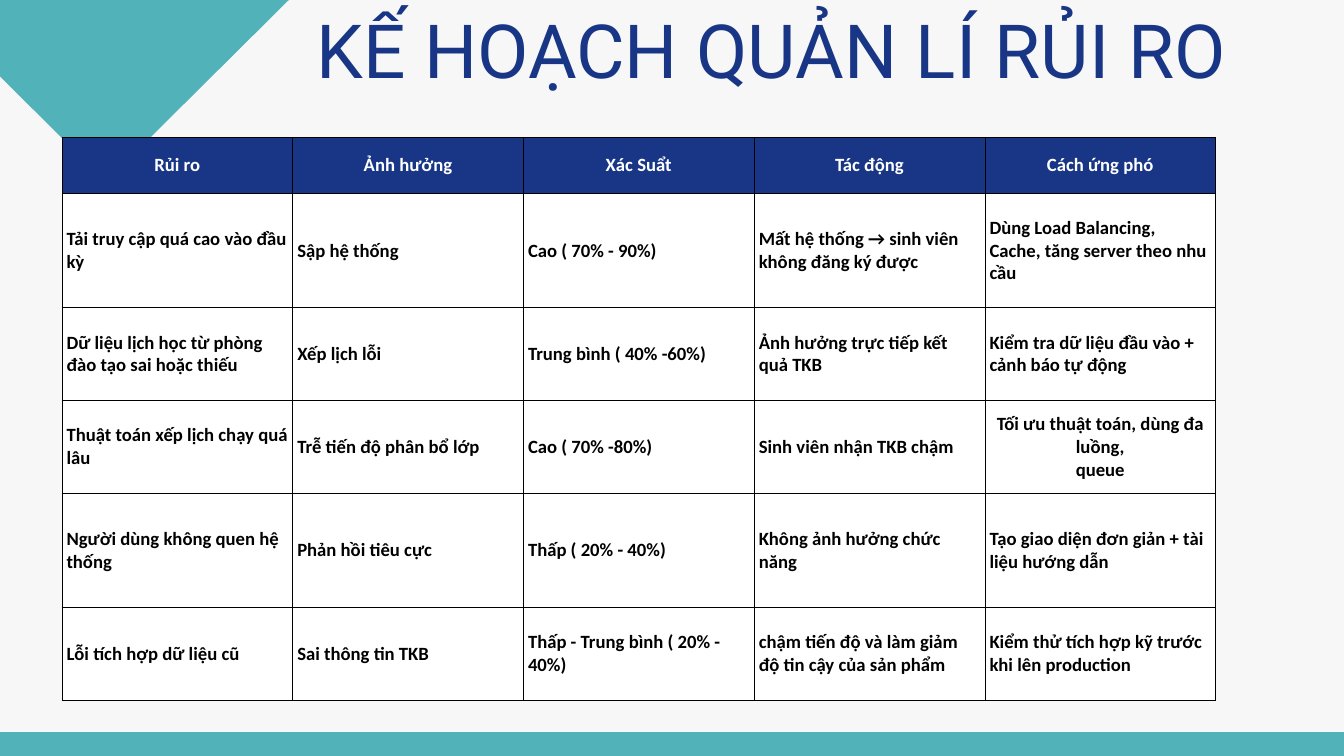
from dataclasses import astuple, dataclass

from lxml.etree import SubElement
from pptx import Presentation
from pptx.dml.color import RGBColor as Rgb
from pptx.enum.text import MSO_ANCHOR as Anchor
from pptx.enum.text import MSO_AUTO_SIZE as Fit
from pptx.enum.text import PP_ALIGN as Align
from pptx.oxml.ns import qn
from pptx.util import Inches, Pt

HUES = {
    "back": "F7F7F7",
    "teal": "51B2BA",
    "navy": "183685",
    "white": "FFFFFF",
    "black": "000000",
}


@dataclass
class Risk:
    name: str
    effect: str
    odds: str
    impact: str
    reply: str


@dataclass
class Form:
    points: list[tuple[float, float]]
    hue: str


WEDGE = Form(
    [(1.26, 2.39), (1.4, 2.49), (1.58, 2.52), (1.75, 2.49), (1.89, 2.39),
     (11.54, -7.19), (11.59, -7.3), (11.58, -7.39), (11.52, -7.47), (11.41, -7.5),
     (-8.25, -7.5), (-8.36, -7.47), (-8.42, -7.39), (-8.43, -7.3), (-8.38, -7.19)],
    "teal",
)
BAR = Form([(-1.13, 10.9), (22.4, 10.9), (22.4, 12.39), (-1.13, 12.39)], "teal")

HEAD = Risk("Rủi ro", "Ảnh hưởng", "Xác Suẩt", "Tác động", "Cách ứng phó")
RISKS = [
    Risk("Tải truy cập quá cao vào đầu kỳ", "Sập hệ thống", "Cao ( 70% - 90%)",
         "Mất hệ thống → sinh viên không đăng ký được",
         "Dùng Load Balancing, Cache, tăng server theo nhu cầu"),
    Risk("Dữ liệu lịch học từ phòng đào tạo sai hoặc thiếu", "Xếp lịch lỗi",
         "Trung bình ( 40% -60%)", "Ảnh hưởng trực tiếp kết quả TKB",
         "Kiểm tra dữ liệu đầu vào + cảnh báo tự động"),
    Risk("Thuật toán xếp lịch chạy quá lâu", "Trễ tiến độ phân bổ lớp",
         "Cao ( 70% -80%)", "Sinh viên nhận TKB chậm",
         "Tối ưu thuật toán, dùng đa luồng,\nqueue"),
    Risk("Người dùng không quen hệ thống", "Phản hồi tiêu cực", "Thấp ( 20% - 40%)",
         "Không ảnh hưởng chức năng", "Tạo giao diện đơn giản + tài liệu hướng dẫn"),
    Risk("Lỗi tích hợp dữ liệu cũ", "Sai thông tin TKB", "Thấp - Trung bình ( 20% - 40%)",
         "chậm tiến độ và làm giảm độ tin cậy của sản phẩm",
         "Kiểm thử tích hợp kỹ trước khi lên production"),
]
ROWS = [0.84, 1.7, 1.38, 1.38, 1.7, 1.38]
WIDE = 17.17


def tint(name: str) -> Rgb:
    return Rgb.from_string(HUES[name])


def draw_form(slide, form: Form) -> None:
    spots = [(Inches(x), Inches(y)) for x, y in form.points]
    pen = slide.shapes.build_freeform(*spots[0])
    pen.add_line_segments(spots[1:], close=True)
    shape = pen.convert_to_shape()
    shape.shadow.inherit = False
    shape.fill.solid()
    shape.fill.fore_color.rgb = tint(form.hue)
    shape.line.fill.background()


def set_title(slide, text: str) -> None:
    title = slide.shapes.title
    title.left, title.top = Inches(4.08), Inches(0.39)
    title.width, title.height = Inches(14.8), Inches(1.09)
    frame = title.text_frame
    frame.text = text
    frame.word_wrap = True
    frame.auto_size = Fit.SHAPE_TO_FIT_TEXT
    frame.vertical_anchor = Anchor.TOP
    frame.margin_left = frame.margin_right = 0
    frame.margin_top = frame.margin_bottom = 0
    para = frame.paragraphs[0]
    para.alignment = Align.CENTER
    para.line_spacing = Pt(72)
    font = para.runs[0].font
    font.name, font.size = "Roboto", Pt(80)
    font.color.rgb = tint("navy")


def set_edges(cell) -> None:
    props = cell._tc.get_or_add_tcPr()
    for side in ("a:lnL", "a:lnR", "a:lnT", "a:lnB"):
        line = SubElement(props, qn(side), w=str(Pt(0.8)))
        fill = SubElement(line, qn("a:solidFill"))
        SubElement(fill, qn("a:srgbClr"), val=HUES["black"])


def fill_cell(cell, text: str, ink: str, back: str, mid: bool) -> None:
    set_edges(cell)
    cell.fill.solid()
    cell.fill.fore_color.rgb = tint(back)
    cell.vertical_anchor = Anchor.MIDDLE
    cell.margin_left = cell.margin_right = Inches(0.07)
    cell.margin_top = cell.margin_bottom = Inches(0.03)
    cell.text_frame.text = text
    for para in cell.text_frame.paragraphs:
        para.alignment = Align.CENTER if mid else Align.LEFT
        for run in para.runs:
            font = run.font
            font.name, font.size, font.bold = "Calibri", Pt(20), True
            font.color.rgb = tint(ink)


def draw_table(slide, risks: list[Risk]) -> None:
    grid = [astuple(risk) for risk in risks]
    count = len(grid[0])
    table = slide.shapes.add_table(
        len(grid), count, Inches(0.92), Inches(2.04), Inches(WIDE), Inches(sum(ROWS))
    ).table
    table.horz_banding = False
    for col in table.columns:
        col.width = Inches(WIDE / count)
    for r, (tall, texts) in enumerate(zip(ROWS, grid)):
        table.rows[r].height = Inches(tall)
        ink, back = ("white", "navy") if r == 0 else ("black", "white")
        for c, text in enumerate(texts):
            fill_cell(table.cell(r, c), text, ink, back, r == 0 or "\n" in text)


def main() -> None:
    deck = Presentation()
    deck.slide_width, deck.slide_height = Inches(20), Inches(11.25)
    slide = deck.slides.add_slide(deck.slide_layouts[5])
    slide.background.fill.solid()
    slide.background.fill.fore_color.rgb = tint("back")
    for form in (WEDGE, BAR):
        draw_form(slide, form)
    set_title(slide, "KẾ HOẠCH QUẢN LÍ RỦI RO")
    draw_table(slide, [HEAD, *RISKS])
    deck.save("out.pptx")


if __name__ == "__main__":
    main()
